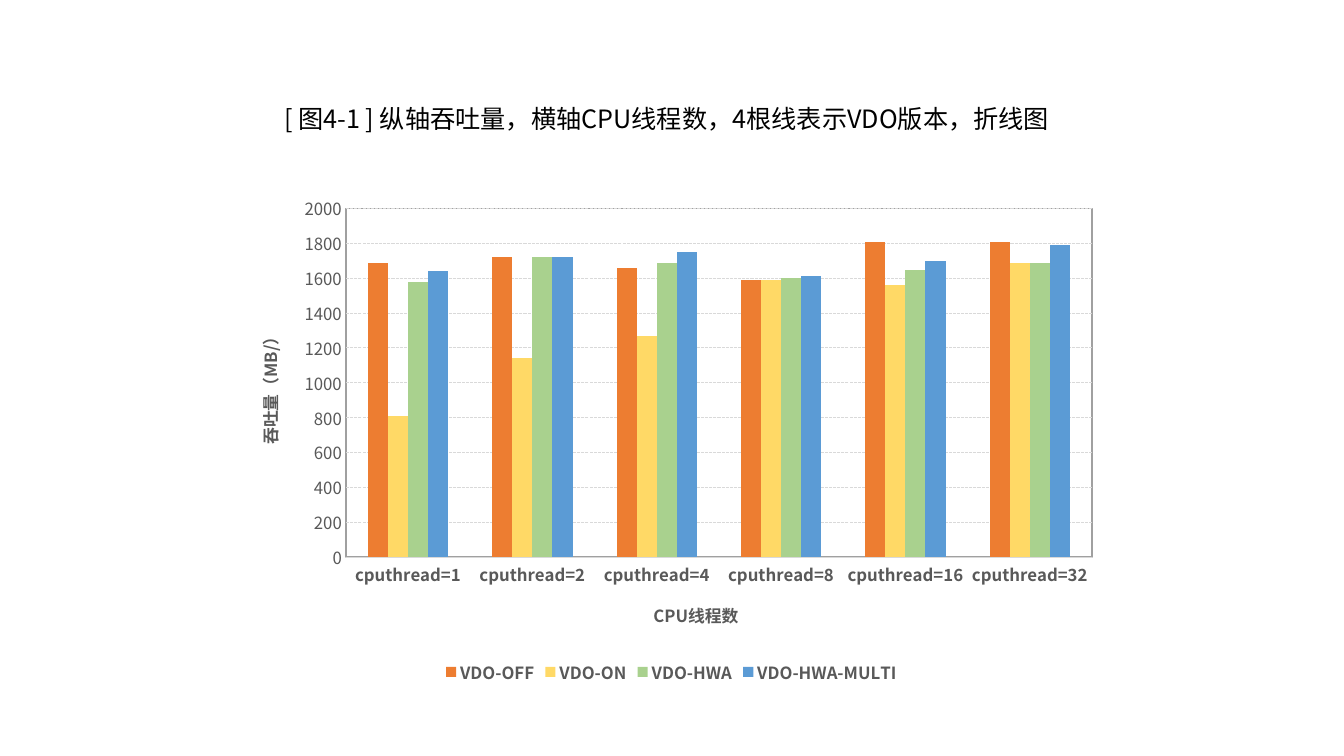
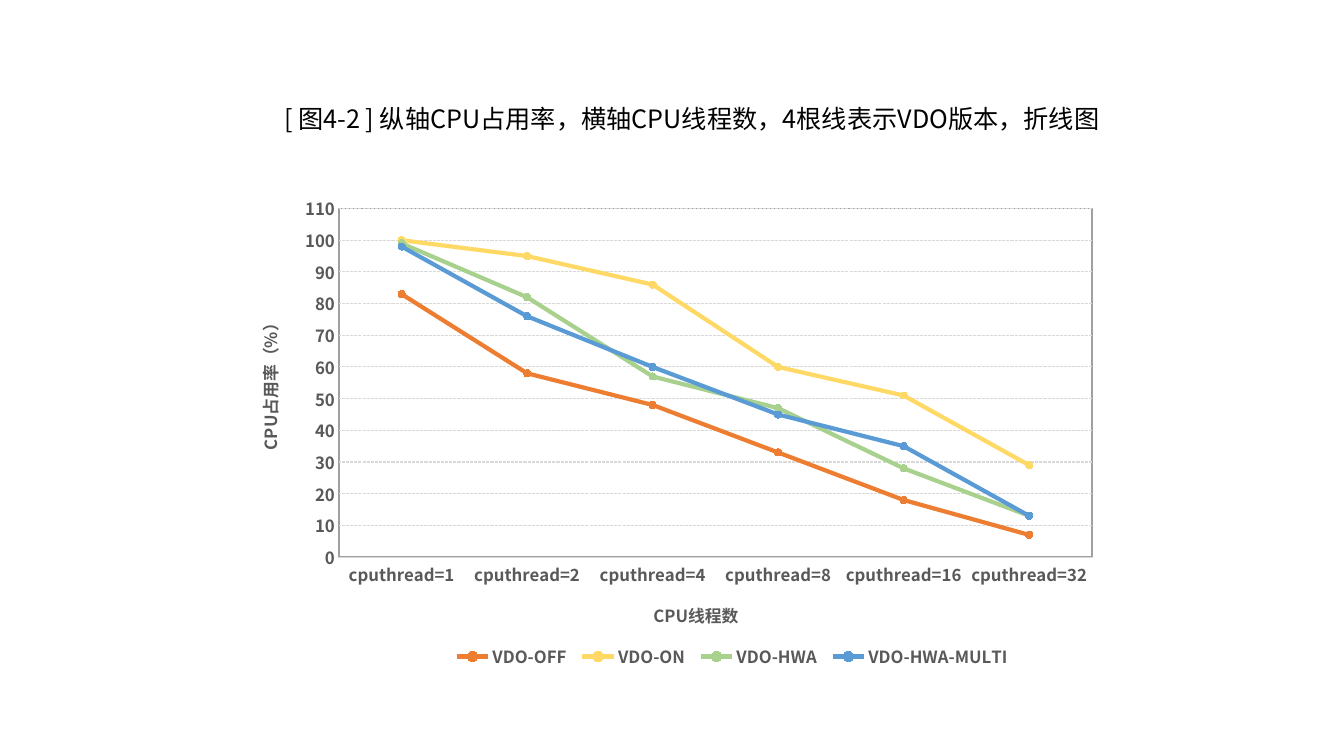
from dataclasses import dataclass

import lxml.etree
import pptx
import pptx.chart.data
import pptx.dml.color
import pptx.enum.chart
import pptx.enum.dml
import pptx.enum.text
import pptx.oxml.ns
import pptx.util

Pt = pptx.util.Pt
qn = pptx.oxml.ns.qn
ChartType = pptx.enum.chart.XL_CHART_TYPE

FONT = "Noto Sans CJK SC"
COLORS = {
    "title": "000000",
    "label": "595959",
    "grid": "D9D9D9",
    "border": "A0A0A0",
    "VDO-OFF": "ED7D31",
    "VDO-ON": "FFD966",
    "VDO-HWA": "A9D18E",
    "VDO-HWA-MULTI": "5B9BD5",
}
CATEGORIES = [f"cputhread={count}" for count in (1, 2, 4, 8, 16, 32)]


@dataclass
class Box:
    left: float
    top: float
    width: float
    height: float


@dataclass
class Figure:
    """One chart page; places of chart parts are points inside the chart."""
    caption: str
    kind: ChartType
    value_title: str
    value_title_at: tuple[float, float]
    value_bold: bool
    maximum: float
    step: float
    plot: tuple[float, float, float, float]
    legend: tuple[float, float, float, float] | None
    values: dict[str, list[float]]


CAPTION_BOX = Box(195.84, 70.56, 624.96, 28.8)
CHART_BOX = Box(167.04, 132.48, 624.96, 359.28)
CATEGORY_TITLE_AT = (297.5, 294)

FIGURES = [
    Figure(
        "[ 图4-1 ] 纵轴吞吐量，横轴CPU线程数，4根线表示VDO版本，折线图",
        ChartType.COLUMN_CLUSTERED,
        "吞吐量（MB/）", (13, 100), False, 2000, 200,
        (80, 16.5, 533, 249), None,
        {
            "VDO-OFF": [1690, 1720, 1660, 1590, 1810, 1810],
            "VDO-ON": [810, 1140, 1270, 1590, 1560, 1690],
            "VDO-HWA": [1580, 1720, 1690, 1600, 1650, 1690],
            "VDO-HWA-MULTI": [1640, 1720, 1750, 1610, 1700, 1790],
        },
    ),
    Figure(
        "[ 图4-2 ] 纵轴CPU占用率，横轴CPU线程数，4根线表示VDO版本，折线图",
        ChartType.LINE_MARKERS,
        "CPU占用率（%）", (13, 90.5), True, 110, 10,
        (75, 16.5, 538, 249), (152, 325.5, 408, 22),
        {
            "VDO-OFF": [83, 58, 48, 33, 18, 7],
            "VDO-ON": [100, 95, 86, 60, 51, 29],
            "VDO-HWA": [99, 82, 57, 47, 28, 13],
            "VDO-HWA-MULTI": [98, 76, 60, 45, 35, 13],
        },
    ),
]


def rgb(name: str) -> pptx.dml.color.RGBColor:
    return pptx.dml.color.RGBColor.from_string(COLORS[name])


def style_font(font, size: float = 12, color: str = "label", bold: bool = False) -> None:
    font.size = Pt(size)
    font.bold = bold
    font.color.rgb = rgb(color)
    font.name = FONT
    # East Asian glyphs need their own typeface entry
    lxml.etree.SubElement(font._element, qn("a:ea")).set("typeface", FONT)


def write_text(frame, text: str, **style) -> None:
    span = frame.paragraphs[0].add_run()
    span.text = text
    style_font(span.font, **style)


def style_line(line, color: str, width: float) -> None:
    line.color.rgb = rgb(color)
    line.width = Pt(width)


def set_layout(element, index: int, place: tuple[float, ...], inner: bool = False) -> None:
    """Place a chart part by points in the chart: x, y and optionally w, h."""
    for old in element.findall(qn("c:layout")):
        element.remove(old)
    layout = lxml.etree.Element(qn("c:layout"))
    manual = lxml.etree.SubElement(layout, qn("c:manualLayout"))
    entries = [("layoutTarget", "inner")] if inner else []
    entries += [("xMode", "edge"), ("yMode", "edge")]
    totals = (CHART_BOX.width, CHART_BOX.height) * 2
    entries += [(key, str(part / total)) for key, part, total in zip("xywh", place, totals)]
    for key, value in entries:
        lxml.etree.SubElement(manual, qn(f"c:{key}")).set("val", value)
    element.insert(index, layout)


def add_plot_border(plot_area) -> None:
    shape = lxml.etree.SubElement(plot_area, qn("c:spPr"))
    lxml.etree.SubElement(shape, qn("a:noFill"))
    line = lxml.etree.SubElement(shape, qn("a:ln"), w=str(Pt(1)))
    fill = lxml.etree.SubElement(line, qn("a:solidFill"))
    lxml.etree.SubElement(fill, qn("a:srgbClr")).set("val", COLORS["border"])


def style_axis(axis, title: str, at: tuple[float, float], bold: bool) -> None:
    axis.major_tick_mark = pptx.enum.chart.XL_TICK_MARK.NONE
    axis.minor_tick_mark = pptx.enum.chart.XL_TICK_MARK.NONE
    style_font(axis.tick_labels.font, bold=bold)
    axis.has_title = True
    write_text(axis.axis_title.text_frame, title, bold=True)
    set_layout(axis.axis_title._element, 1, at)


def style_series(series, kind: ChartType) -> None:
    if kind == ChartType.COLUMN_CLUSTERED:
        series.format.fill.solid()
        series.format.fill.fore_color.rgb = rgb(series.name)
        return
    series.smooth = False
    style_line(series.format.line, series.name, 3)
    series.marker.style = pptx.enum.chart.XL_MARKER_STYLE.CIRCLE
    series.marker.size = 5
    series.marker.format.fill.solid()
    series.marker.format.fill.fore_color.rgb = rgb(series.name)
    style_line(series.marker.format.line, series.name, 0.75)


def add_figure_chart(page, figure: Figure) -> None:
    data = pptx.chart.data.CategoryChartData()
    data.categories = CATEGORIES
    for name, values in figure.values.items():
        data.add_series(name, values)
    box = CHART_BOX
    chart = page.shapes.add_chart(
        figure.kind, Pt(box.left), Pt(box.top), Pt(box.width), Pt(box.height), data
    ).chart
    chart.has_title = False
    style_font(chart.font, size=10, color="title")

    # Series
    plot = chart.plots[0]
    plot.vary_by_categories = False
    if figure.kind == ChartType.COLUMN_CLUSTERED:
        plot.gap_width = 219
        plot.overlap = 0
    for series in plot.series:
        style_series(series, figure.kind)

    # Axes
    category = chart.category_axis
    style_axis(category, "CPU线程数", CATEGORY_TITLE_AT, True)
    style_line(category.format.line, "grid", 0.75)
    value = chart.value_axis
    style_axis(value, figure.value_title, figure.value_title_at, figure.value_bold)
    turn = value.axis_title.text_frame._txBody.find(qn("a:bodyPr"))
    turn.set("rot", "-5400000")
    turn.set("vert", "horz")
    value.minimum_scale = 0
    value.maximum_scale = figure.maximum
    value.major_unit = figure.step
    value.format.line.fill.background()
    grid = value.major_gridlines.format.line
    style_line(grid, "grid", 0.75)
    grid.dash_style = pptx.enum.dml.MSO_LINE.SQUARE_DOT

    # Legend and plot frame
    chart.has_legend = True
    chart.legend.position = pptx.enum.chart.XL_LEGEND_POSITION.BOTTOM
    chart.legend.include_in_layout = False
    style_font(chart.legend.font, bold=True)
    if figure.legend:
        set_layout(chart.legend._element, 1, figure.legend)
    plot_area = chart._chartSpace.chart.plotArea
    set_layout(plot_area, 0, figure.plot, inner=True)
    add_plot_border(plot_area)


def add_caption(page, text: str) -> None:
    box = CAPTION_BOX
    frame = page.shapes.add_textbox(
        Pt(box.left), Pt(box.top), Pt(box.width), Pt(box.height)
    ).text_frame
    frame.word_wrap = True
    frame.auto_size = pptx.enum.text.MSO_AUTO_SIZE.SHAPE_TO_FIT_TEXT
    write_text(frame, text, size=18, color="title")


def main() -> None:
    deck = pptx.Presentation()
    deck.slide_width, deck.slide_height = Pt(960), Pt(540)
    for figure in FIGURES:
        page = deck.slides.add_slide(deck.slide_layouts[6])
        add_figure_chart(page, figure)
        add_caption(page, figure.caption)
    deck.save("out.pptx")


if __name__ == "__main__":
    main()
